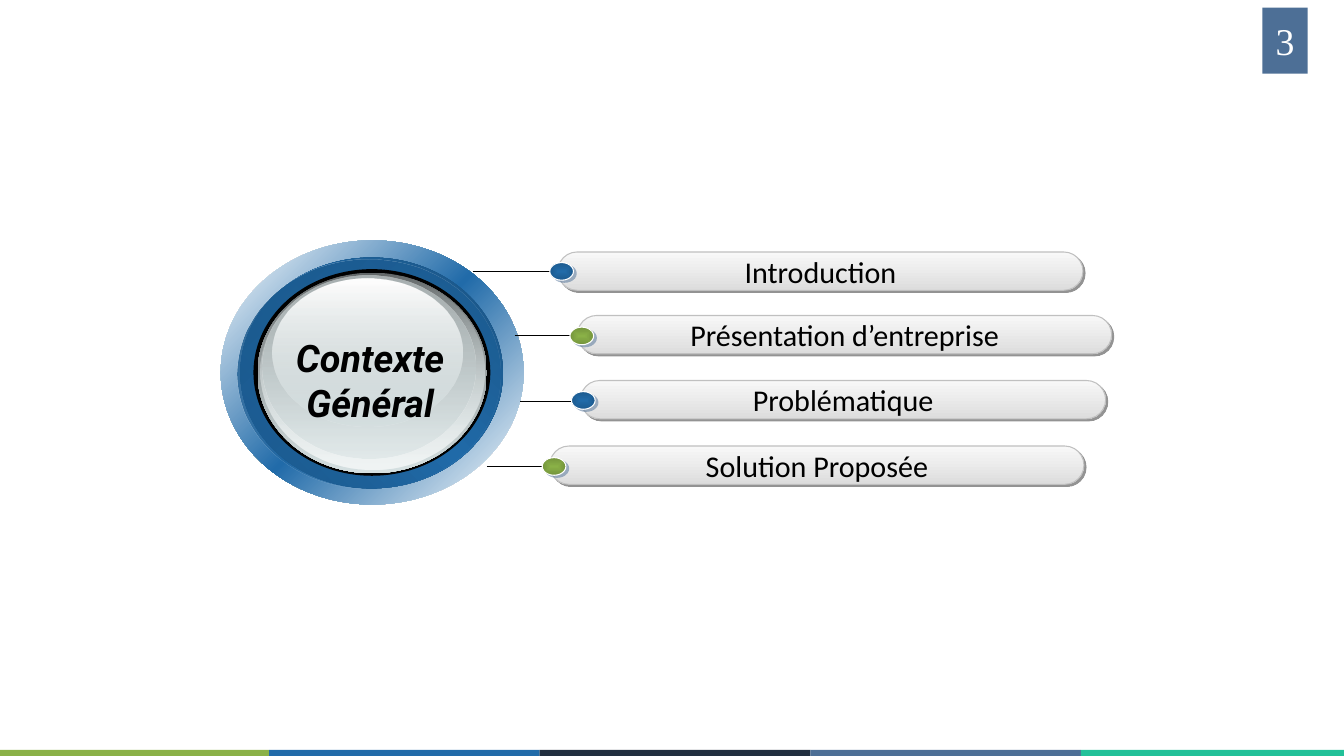
from lxml import etree
from pptx import Presentation
from pptx.dml.color import RGBColor
from pptx.enum.shapes import MSO_CONNECTOR, MSO_SHAPE
from pptx.enum.text import MSO_ANCHOR, PP_ALIGN
from pptx.oxml.ns import qn
from pptx.util import Pt

RECT = MSO_SHAPE.RECTANGLE
PILL = MSO_SHAPE.ROUNDED_RECTANGLE
OVAL = MSO_SHAPE.OVAL
STRAIGHT = MSO_CONNECTOR.STRAIGHT
CENTER = PP_ALIGN.CENTER
MIDDLE = MSO_ANCHOR.MIDDLE

PX = 9144  # 100 px to the inch
COLORS = {
    "green": "8AB147", "dark_green": "74943C", "blue": "216BA9",
    "mid_blue": "1C5A8E", "deep_blue": "1B588B", "dark_blue": "195281",
    "navy": "212F3F", "slate": "4D6F96", "teal": "22C199",
    "white": "FFFFFF", "black": "000000", "soot": "292929",
    "pale": "F8F8F8", "light": "DDDDDD", "silver": "C0C0C0",
    "glass": "D6E1E2", "glass_dark": "636869", "glass_mid": "AAB2B3",
    "glass_light": "F1F5F5",
}
BAR_FILL = [(0, "pale", 100), (100, "light", 100)]
DOT_FILLS = {
    "blue": [(0, "blue", 100), (100, "mid_blue", 100)],
    "green": [(0, "green", 100), (100, "dark_green", 100)],
}
FOOTER = ["green", "blue", "navy", "slate", "teal"]

# label, bar (left, top, width), dot (left, top), dot colour, line (start, end, y)
# The first row lies behind the dial, the others in front of it.
ROWS = [
    ("Problématique", (1152, 755, 1042), (1134, 777), "blue", (973, 1147, 797)),
    ("Introduction", (1107, 500, 1042), (1091, 521), "blue", (938, 1104, 538)),
    ("Présentation d’entreprise", (1146, 626, 1060), (1131, 649), "green",
     (1021, 1148, 666)),
    ("Solution Proposée", (1091, 885, 1060), (1076, 908), "green",
     (966, 1092, 926)),
]

# box, gradient stops (position, colour, opacity), angle
DIAL = [
    ((438, 477, 601, 524),
     [(0, "white", 100), (50, "blue", 100), (100, "white", 100)], 45),
    ((477, 511, 521, 458),
     [(0, "dark_blue", 100), (50, "blue", 100), (100, "dark_blue", 100)], 315),
    ((472, 515, 521, 454), [(0, "deep_blue", 100), (100, "blue", 0)], 45),
    ((503, 534, 470, 410), "black", None),
    ((511, 541, 455, 398), [(0, "glass_dark", 100), (100, "glass", 100)], 90),
    ((516, 543, 445, 388), [(0, "glass", 0), (100, "glass_light", 100)], 90),
    ((521, 546, 422, 363), [(0, "glass_mid", 100), (100, "glass", 48)], 90),
    ((541, 552, 376, 294), [(0, "white", 100), (100, "glass", 38)], 90),
]


def rgb(name):
    return RGBColor.from_string(COLORS[name])


def emu(lengths):
    return [length * PX for length in lengths]


def add_color(parent, name, opacity):
    color = etree.SubElement(parent, qn("a:srgbClr"), val=COLORS[name])
    if opacity < 100:
        etree.SubElement(color, qn("a:alpha"), val=str(opacity * 1000))


def set_gradient(shape, stops, angle):
    """Fill along an angle, or outward from the centre when angle is None."""
    shape.fill.gradient()
    gradient = shape.element.spPr.find(qn("a:gradFill"))
    for child in list(gradient):
        gradient.remove(child)
    stop_list = etree.SubElement(gradient, qn("a:gsLst"))
    for position, name, opacity in stops:
        stop = etree.SubElement(stop_list, qn("a:gs"), pos=str(position * 1000))
        add_color(stop, name, opacity)
    if angle is None:
        radial = etree.SubElement(gradient, qn("a:path"), path="shape")
        sides = {side: "50000" for side in "ltrb"}
        etree.SubElement(radial, qn("a:fillToRect"), **sides)
    else:
        etree.SubElement(gradient, qn("a:lin"), ang=str(angle * 60000), scaled="0")


def set_shadow(shape, name, distance, angle):
    effects = shape.element.spPr.find(qn("a:effectLst"))
    shadow = etree.SubElement(
        effects, qn("a:outerShdw"), dist=str(Pt(distance)),
        dir=str(angle * 60000), algn="ctr", rotWithShape="0")
    add_color(shadow, name, 50)


def add_shape(page, kind, box, fill, angle=None, line=None):
    shape = page.shapes.add_shape(kind, *emu(box))
    shape.shadow.inherit = False
    if isinstance(fill, str):
        shape.fill.solid()
        shape.fill.fore_color.rgb = rgb(fill)
    else:
        set_gradient(shape, fill, angle)
    if line:
        shape.line.color.rgb = rgb(line)
        shape.line.width = Pt(1.5)
    else:
        shape.line.fill.background()
    return shape


def write(shape, text, color, frame_format, font_format):
    frame = shape.text_frame
    for key, value in frame_format.items():
        setattr(frame, key, value)
    para = frame.paragraphs[0]
    para.alignment = CENTER
    span = para.add_run()
    span.text = text
    for key, value in font_format.items():
        setattr(span.font, key, value)
    span.font.color.rgb = rgb(color)


def add_row(page, label, bar_box, dot_place, dot_color, line_ends):
    start, end, y = line_ends
    line = page.shapes.add_connector(STRAIGHT, *emu((start, y, end, y)))
    line.line.color.rgb = rgb("black")
    line.line.width = Pt(1)
    etree.SubElement(line.element.spPr, qn("a:effectLst"))

    bar = add_shape(page, PILL, (*bar_box, 76), BAR_FILL, 90, "silver")
    bar.adjustments[0] = 0.5
    set_shadow(bar, "soot", 4.2, 45)
    write(bar, label, "black",
          {"word_wrap": False, "vertical_anchor": MIDDLE},
          {"name": "Calibri", "size": Pt(43)})

    dot = add_shape(page, OVAL, (*dot_place, 47, 35), DOT_FILLS[dot_color],
                    line="white")
    set_shadow(dot, "slate", 5, 37)


def add_dial(page):
    for box, fill, angle in DIAL:
        add_shape(page, OVAL, box, fill, angle)
    caption = page.shapes.add_textbox(*emu((503, 659, 463, 192)))
    write(caption, "Contexte Général", "black", {"word_wrap": True},
          {"name": "Roboto", "size": Pt(54), "bold": True, "italic": True})


def add_page_number(page):
    badge = add_shape(page, RECT, (2505, 15, 90, 131), "slate")
    write(badge, "3", "white",
          {"vertical_anchor": MIDDLE, "margin_left": 0, "margin_right": 0,
           "margin_top": 20 * PX, "margin_bottom": 20 * PX},
          {"name": "Times New Roman", "size": Pt(54)})


def main():
    deck = Presentation()
    deck.slide_width, deck.slide_height = emu((2667, 1500))
    page = deck.slides.add_slide(deck.slide_layouts[6])

    # Footer stripe
    for index, color in enumerate(FOOTER):
        add_shape(page, RECT, (-3 + 537 * index, 1488, 537, 20), color)

    # Dial and its topics
    add_row(page, *ROWS[0])
    add_dial(page)
    for row in ROWS[1:]:
        add_row(page, *row)

    add_page_number(page)
    deck.save("out.pptx")


if __name__ == "__main__":
    main()
